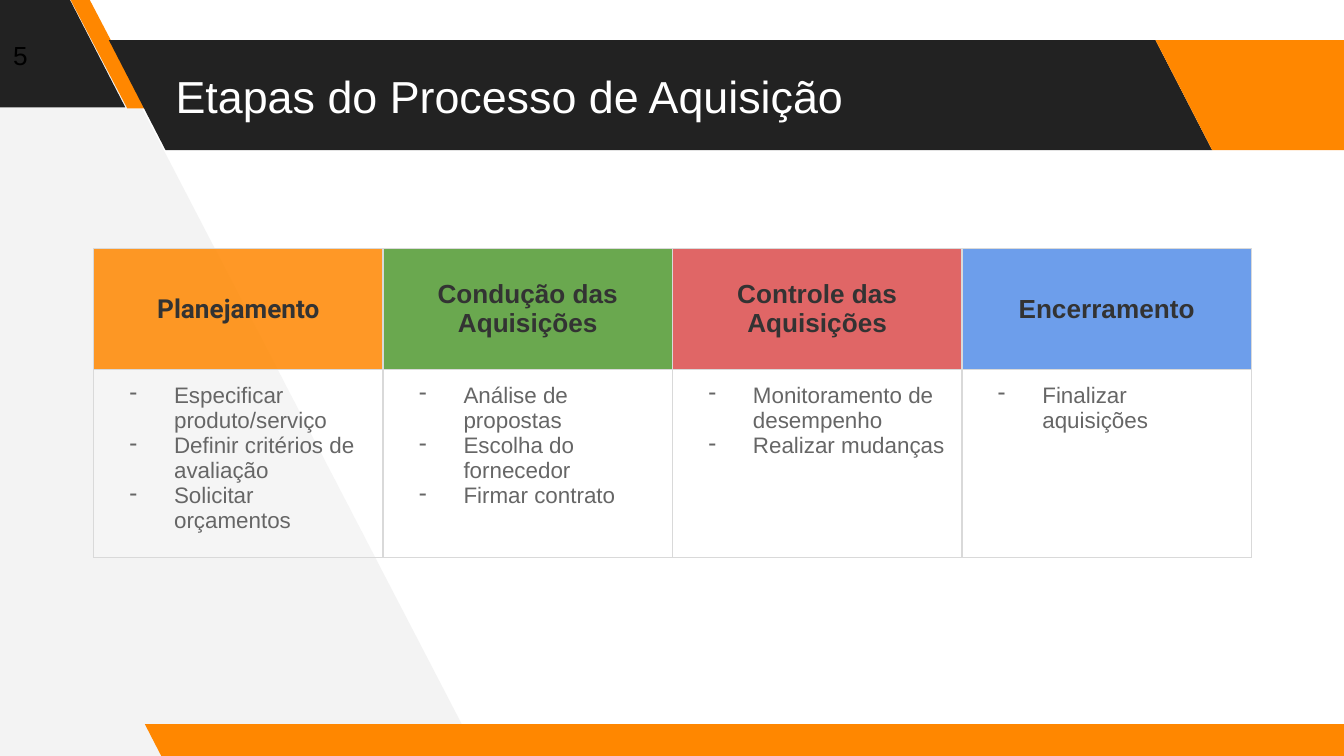
from lxml import etree
from pptx import Presentation
from pptx import util as u
from pptx.dml import color
from pptx.enum import shapes, text
from pptx.oxml import ns

ORANGE, DARK, PALE, GRAY = "FF8700", "222222", "F3F3F3", "666666"
STAGES = [
    ("Planejamento", "Roboto", ORANGE, 85,
     ["Especificar produto/serviço", "Definir critérios de avaliação", "Solicitar orçamentos"]),
    ("Condução das Aquisições", "Arial", "6AA84F", 100,
     ["Análise de propostas", "Escolha do fornecedor", "Firmar contrato"]),
    ("Controle das Aquisições", "Arial", "E06666", 100,
     ["Monitoramento de desempenho", "Realizar mudanças"]),
    ("Encerramento", "Arial", "6D9EEB", 100, ["Finalizar aquisições"]),
]


def rgb(value):
    return color.RGBColor.from_string(value)


def add_element(parent, tag, **attributes):
    return etree.SubElement(parent, ns.qn(tag), attributes)


def write(paragraph, content, size=12, font="Arial", ink=GRAY, bold=False,
          align=text.PP_ALIGN.LEFT, bullet=None):
    paragraph.alignment = align
    run = paragraph.add_run()
    run.text = content
    run.font.size = u.Pt(size)
    run.font.name = font
    run.font.bold = bold
    run.font.color.rgb = rgb(ink)
    if bullet:
        properties = paragraph._p.get_or_add_pPr()
        properties.set("marL", str(u.Cm(1.27)))
        properties.set("indent", str(u.Cm(-0.84)))
        add_element(add_element(properties, "a:buClr"), "a:srgbClr", val=ink)
        add_element(properties, "a:buChar", char=bullet)


class SlideBuilder:
    inset = u.Cm(0.25)
    border = "D9D9D9"

    def __init__(self, slide):
        self.slide = slide

    def paint(self, shape, fill):
        shape.shadow.inherit = False
        shape.fill.solid()
        shape.fill.fore_color.rgb = rgb(fill)
        shape.line.fill.background()

    def polygon(self, points, fill):
        corners = [(u.Cm(x), u.Cm(y)) for x, y in points]
        builder = self.slide.shapes.build_freeform(*corners[0])
        builder.add_line_segments(corners[1:])
        self.paint(builder.convert_to_shape(), fill)

    def slanted_band(self, left, top, width, height, fill, slant=0.515):
        shape = self.slide.shapes.add_shape(
            shapes.MSO_SHAPE.PARALLELOGRAM, *map(u.Cm, (left, top, width, height)))
        shape.adjustments[0] = slant
        shape._element.spPr.find(ns.qn("a:xfrm")).set("flipH", "1")
        self.paint(shape, fill)

    def text_box(self, left, top, width, height, content, **style):
        box = self.slide.shapes.add_textbox(*map(u.Cm, (left, top, width, height)))
        frame = box.text_frame
        frame.word_wrap = True
        frame.vertical_anchor = text.MSO_ANCHOR.MIDDLE
        frame.margin_left = frame.margin_right = self.inset
        frame.margin_top = frame.margin_bottom = self.inset
        write(frame.paragraphs[0], content, **style)

    def cell(self, cell, lines, fill, opacity, anchor, **style):
        cell.margin_left = cell.margin_right = self.inset
        cell.margin_top = cell.margin_bottom = self.inset
        cell.vertical_anchor = anchor
        cell.fill.solid()
        cell.fill.fore_color.rgb = rgb(fill)
        properties = cell._tc.get_or_add_tcPr()
        tint = properties.find(".//" + ns.qn("a:srgbClr"))
        add_element(tint, "a:alpha", val=str(opacity * 1000))
        for position, side in enumerate("LRTB"):
            line = etree.Element(ns.qn("a:ln" + side), w=str(u.Pt(0.75)))
            add_element(add_element(line, "a:solidFill"), "a:srgbClr", val=self.border)
            properties.insert(position, line)
        for index, content in enumerate(lines):
            frame = cell.text_frame
            paragraph = frame.add_paragraph() if index else frame.paragraphs[0]
            write(paragraph, content, **style)

    def stage_table(self, left, top, column_width, row_heights, stages):
        frame = self.slide.shapes.add_table(
            len(row_heights), len(stages), u.Cm(left), u.Cm(top),
            u.Cm(column_width * len(stages)), u.Cm(sum(row_heights)))
        table = frame.table
        table.first_row = table.horz_banding = False
        for row, height in zip(table.rows, row_heights):
            row.height = u.Cm(height)
        for index, (name, font, fill, opacity, steps) in enumerate(stages):
            table.columns[index].width = u.Cm(column_width)
            self.cell(table.cell(0, index), [name], fill, opacity, text.MSO_ANCHOR.MIDDLE,
                      size=14, font=font, ink="333333", bold=True,
                      align=text.PP_ALIGN.CENTER)
            self.cell(table.cell(1, index), steps, "FFFFFF", 18, text.MSO_ANCHOR.TOP,
                      bullet="-")


def main():
    presentation = Presentation()
    presentation.slide_width = u.Cm(25.4)
    presentation.slide_height = u.Cm(14.29)
    builder = SlideBuilder(presentation.slides.add_slide(presentation.slide_layouts[6]))

    builder.polygon([(9.04, 14.29), (1.57, -0.1), (-0.15, -0.1), (-0.05, 14.38)], PALE)
    builder.slanted_band(-2.51, -0.05, 4.88, 2.08, DARK)
    builder.slanted_band(1.32, -0.03, 1.45, 2.08, ORANGE, slant=0.75)
    builder.slanted_band(2.06, 0.76, 20.85, 2.08, DARK)
    builder.slanted_band(21.84, 0.76, 4.88, 2.08, ORANGE)
    builder.slanted_band(2.74, 13.69, 23.24, 0.64, ORANGE)
    builder.text_box(0, 0, 1.5, 2.08, "5", size=14, ink="000000")
    builder.text_box(3.07, 0.76, 18.67, 2.08, "Etapas do Processo de Aquisição",
                     size=24, ink="FFFFFF")
    builder.stage_table(1.77, 4.7, 5.47, [2.29, 3.35], STAGES)
    presentation.save("out.pptx")


if __name__ == "__main__":
    main()
